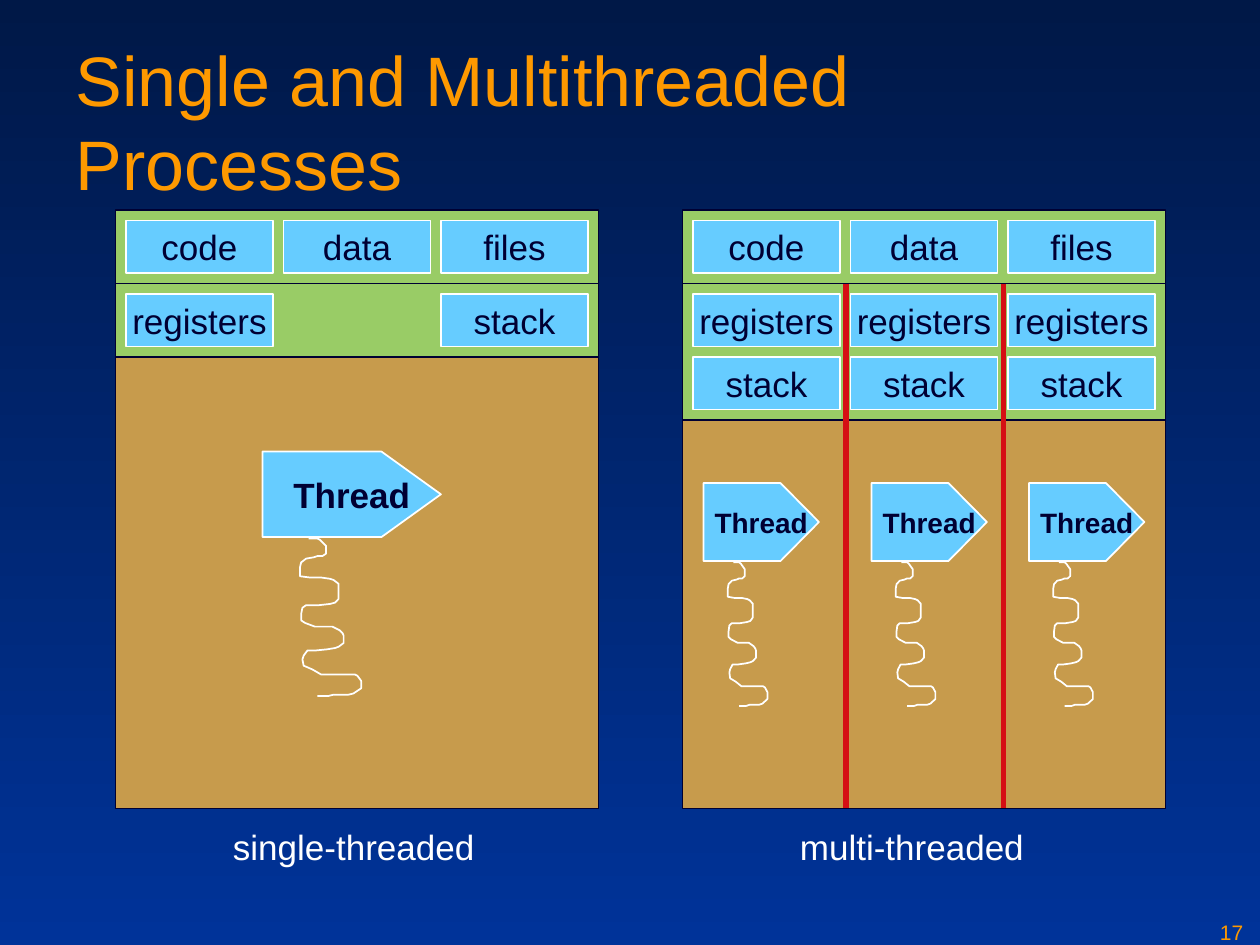
from dataclasses import dataclass
from typing import NamedTuple

from lxml.etree import SubElement
from pptx import Presentation
from pptx.dml.color import RGBColor as RGB
from pptx.enum.shapes import MSO_CONNECTOR as CONN, MSO_SHAPE as SHAPE
from pptx.enum.text import MSO_ANCHOR as ANCHOR, MSO_AUTO_SIZE as AUTO, PP_ALIGN as ALIGN
from pptx.oxml.ns import qn
from pptx.util import Pt


@dataclass(frozen=True)
class Theme:
    font: str = "Arial"
    bg_top: str = "001847"
    bg_bottom: str = "003399"
    accent: str = "FE9900"
    green: str = "99CC66"
    tan: str = "C79B4C"
    blue: str = "66CCFF"
    dark: str = "000033"
    white: str = "FFFFFF"
    red: str = "D50F14"
    title_size: int = 40
    body_size: int = 20
    small_size: int = 16
    number_size: int = 12


class Box(NamedTuple):
    x: float
    y: float
    w: float
    h: float


class Cell(NamedTuple):
    text: str
    row: int
    col: int


class Thread(NamedTuple):
    box: Box
    size: int


@dataclass(frozen=True)
class Panel:
    left: float
    private_h: float
    cells: list[Cell]
    threads: list[Thread]
    caption: str
    caption_w: float
    dividers: int = 0


T = Theme()
TOP, BOTTOM, PANEL_W, SHARED_H = 120, 462, 276, 42
CELL_W, CELL_H, PITCH, GAP = 84, 30, 90, 6
ROW_TOPS = (126, 168, 204)
COIL_W, COIL_H = 50, 125
COIL = [
    (7, 0), (14, 0), (16, 1), (18, 3), (21, 6), (21, 12), (18, 14), (14, 14),
    (11, 15), (5, 16), (1, 19), (0, 23), (0, 30), (8, 31), (17, 31), (24, 32),
    (27, 33), (31, 36), (31, 48), (28, 51), (24, 52), (15, 53), (5, 53), (2, 55),
    (1, 60), (1, 65), (4, 67), (12, 70), (21, 70), (26, 70), (32, 73), (34, 75),
    (35, 77), (35, 83), (31, 86), (28, 87), (22, 88), (12, 89), (6, 89), (3, 93),
    (2, 96), (3, 101), (10, 104), (17, 108), (36, 108), (44, 108), (46, 109),
    (49, 113), (49, 119), (43, 123), (39, 124), (27, 124), (23, 125), (14, 125),
]
SHARED = [Cell(name, 0, i) for i, name in enumerate(("code", "data", "files"))]
PANELS = [
    Panel(66, 42, SHARED + [Cell("registers", 1, 0), Cell("stack", 1, 2)],
          [Thread(Box(150, 258, 102, 139.7), T.body_size)], "single-threaded", 152.6),
    Panel(390, 78, SHARED + [Cell(name, row, col) for col in range(3)
                             for row, name in ((1, "registers"), (2, "stack"))],
          [Thread(Box(x, 276, 66, 127.4), T.small_size) for x in (402, 498, 588)],
          "multi-threaded", 142.6, dividers=2),
]


def style_text(tf, size: float, color: str, bold: bool = False) -> None:
    for p in tf.paragraphs:
        for r in p.runs:
            r.font.name, r.font.size, r.font.bold = T.font, Pt(size), bold
            r.font.color.rgb = RGB.from_string(color)


def style_shape(s, fill: str | None, line: str, width: float) -> None:
    s.shadow.inherit = False
    if fill:
        s.fill.solid()
        s.fill.fore_color.rgb = RGB.from_string(fill)
    else:
        s.fill.background()
    s.line.color.rgb = RGB.from_string(line)
    s.line.width = Pt(width)


def center_text(s, text: str, size: float, bold: bool = False) -> None:
    tf = s.text_frame
    tf.text = text
    tf.word_wrap = False
    tf.vertical_anchor = ANCHOR.MIDDLE
    tf.paragraphs[0].alignment = ALIGN.CENTER
    style_text(tf, size, T.dark, bold)


def add_rect(shapes, box: Box, fill: str, line: str):
    s = shapes.add_shape(SHAPE.RECTANGLE, *map(Pt, box))
    style_shape(s, fill, line, 0.75)
    return s


def add_outline(shapes, points: list[tuple[float, float]], fill: str | None):
    pts = [(Pt(x), Pt(y)) for x, y in points]
    fb = shapes.build_freeform(*pts[0])
    fb.add_line_segments(pts[1:], close=fill is not None)
    s = fb.convert_to_shape()
    style_shape(s, fill, T.white, 1)
    return s


def add_thread(shapes, thread: Thread) -> None:
    x, y, w, h = thread.box
    head_h = 0.35 * h
    neck = x + w * 2 / 3
    grp = shapes.add_group_shape()
    head = [(x, y), (neck, y), (x + w, y + head_h / 2),
            (neck, y + head_h), (x, y + head_h)]
    center_text(add_outline(grp.shapes, head, T.blue), "Thread", thread.size, True)
    coil_x, coil_y = x + 0.21 * w, y + 0.356 * h
    sx, sy = 0.35 * w / COIL_W, 0.644 * h / COIL_H
    add_outline(grp.shapes, [(coil_x + a * sx, coil_y + b * sy) for a, b in COIL], None)


def add_text(shapes, box: Box, text: str, size: float, color: str, wrap: bool):
    tf = shapes.add_textbox(*map(Pt, box)).text_frame
    tf.text = text
    tf.word_wrap = wrap
    style_text(tf, size, color)
    return tf


def add_divider(shapes, x: float) -> None:
    c = shapes.add_connector(CONN.STRAIGHT, Pt(x), Pt(TOP + SHARED_H), Pt(x), Pt(BOTTOM))
    c.line.color.rgb = RGB.from_string(T.red)
    c.line.width = Pt(3)
    SubElement(c._element.spPr, qn("a:effectLst"))


def add_panel(shapes, panel: Panel) -> None:
    y = TOP
    body_h = BOTTOM - TOP - SHARED_H - panel.private_h
    for h, fill in ((SHARED_H, T.green), (panel.private_h, T.green), (body_h, T.tan)):
        add_rect(shapes, Box(panel.left, y, PANEL_W, h), fill, T.dark)
        y += h
    for text, row, col in panel.cells:
        box = Box(panel.left + GAP + col * PITCH, ROW_TOPS[row], CELL_W, CELL_H)
        center_text(add_rect(shapes, box, T.blue, T.white), text, T.body_size)
    for thread in panel.threads:
        add_thread(shapes, thread)
    for i in range(panel.dividers):
        add_divider(shapes, panel.left + 93.5 + i * PITCH)
    caption = Box(panel.left + 60, 468, panel.caption_w, 31.5)
    tf = add_text(shapes, caption, panel.caption, T.body_size, T.white, False)
    tf.auto_size = AUTO.SHAPE_TO_FIT_TEXT


def add_title(s, text: str) -> None:
    s.left, s.top, s.width, s.height = map(Pt, (36, 17.3, 648, 90))
    tf = s.text_frame
    tf.text = text
    tf.word_wrap = True
    tf.auto_size = AUTO.NONE
    tf.vertical_anchor = ANCHOR.TOP
    p = tf.paragraphs[0]
    p.alignment = ALIGN.LEFT
    p.line_spacing = Pt(48)
    style_text(tf, T.title_size, T.accent)


def main() -> None:
    prs = Presentation()
    prs.slide_width, prs.slide_height = Pt(720), Pt(540)
    slide = prs.slides.add_slide(prs.slide_layouts[5])
    fill = slide.background.fill
    fill.gradient()
    fill.gradient_angle = 270
    for stop, color, pos in zip(fill.gradient_stops, (T.bg_top, T.bg_bottom), (0, 1)):
        stop.color.rgb = RGB.from_string(color)
        stop.position = pos
    add_title(slide.shapes.title, "Single and Multithreaded Processes")
    for panel in PANELS:
        add_panel(slide.shapes, panel)
    add_text(slide.shapes, Box(690, 522, 30, 18), "17", T.number_size, T.accent, False)
    prs.save("out.pptx")


if __name__ == "__main__":
    main()
